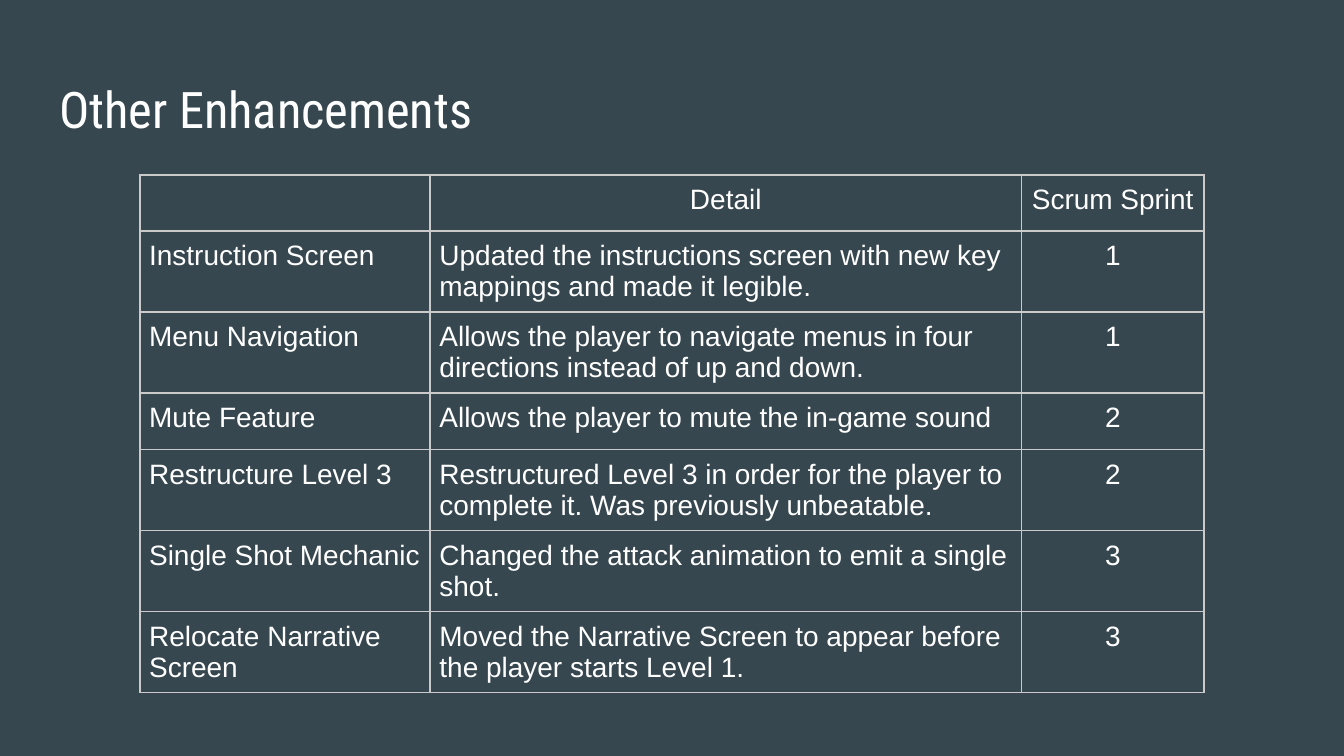
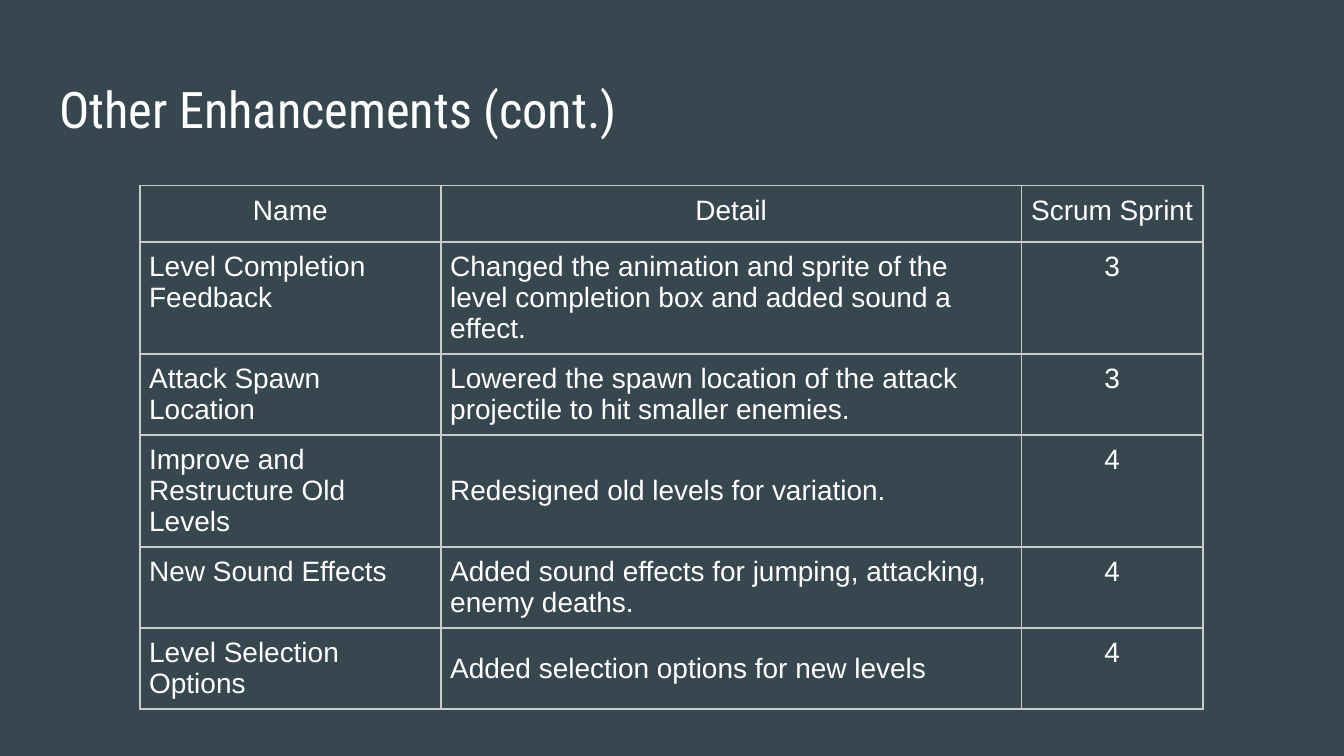
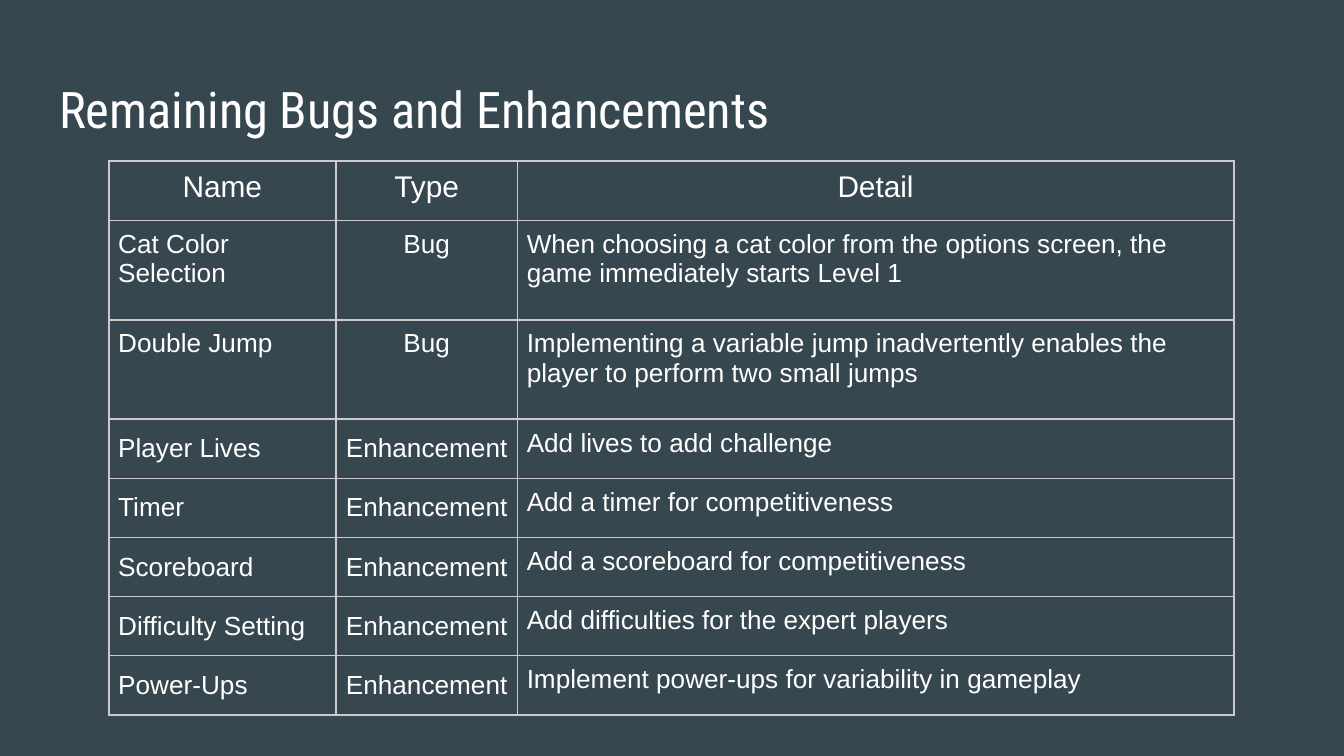
"""Build three slides of game enhancement and bug tables."""
from dataclasses import dataclass

import lxml.etree
import pptx
import pptx.dml.color
import pptx.enum.text
import pptx.oxml.ns
import pptx.presentation
import pptx.slide
import pptx.table
import pptx.text.text
import pptx.util

Inches = pptx.util.Inches
Align = pptx.enum.text.PP_ALIGN
Anchor = pptx.enum.text.MSO_ANCHOR

SLIDE_WIDTH = Inches(10)
SLIDE_HEIGHT = SLIDE_WIDTH * 9 // 16
BACKGROUND = "37474F"
TEXT = "FFFFFF"
BORDER = "CACACA"
TITLE_FONT = "Roboto Condensed"
TABLE_FONT = "Arial"
TITLE_SIZE = 27
BORDER_WIDTH = 1
TITLE_INSET = 0.1
CELL_INSET = 0.07
TITLE_BOX = (0.34, 0.49, 9.32, 0.63)


@dataclass(frozen=True)
class Sheet:
    title: str
    left: float
    top: float
    widths: tuple[float, ...]
    heights: tuple[float, ...]
    rows: tuple[tuple[str, ...], ...]
    centred_column: int
    header_size: int = 15
    body_size: int = 15
    middle_cells: frozenset[tuple[int, int]] = frozenset()


SHEETS = (
    Sheet(
        "Other Enhancements", 1.04, 1.3, (2.16, 4.4, 1.36), (0.42,) * 7,
        (
            ("", "Detail", "Scrum Sprint"),
            ("Instruction Screen",
             "Updated the instructions screen with new key mappings and made it legible.", "1"),
            ("Menu Navigation",
             "Allows the player to navigate menus in four directions instead of up and down.", "1"),
            ("Mute Feature", "Allows the player to mute the in-game sound", "2"),
            ("Restructure Level 3",
             "Restructured Level 3 in order for the player to complete it. Was previously unbeatable.",
             "2"),
            ("Single Shot Mechanic", "Changed the attack animation to emit a single shot.", "3"),
            ("Relocate Narrative Screen",
             "Moved the Narrative Screen to appear before the player starts Level 1.", "3"),
        ),
        centred_column=2,
    ),
    Sheet(
        "Other Enhancements (cont.)", 1.04, 1.38, (2.24, 4.32, 1.35), (0.42,) * 6,
        (
            ("Name", "Detail", "Scrum Sprint"),
            ("Level Completion Feedback",
             "Changed the animation and sprite of the level completion box and added sound a effect.",
             "3"),
            ("Attack Spawn Location",
             "Lowered the spawn location of the attack projectile to hit smaller enemies.", "3"),
            ("Improve and Restructure Old Levels", "Redesigned old levels for variation.", "4"),
            ("New Sound Effects", "Added sound effects for jumping, attacking, enemy deaths.", "4"),
            ("Level Selection Options", "Added selection options for new levels", "4"),
        ),
        centred_column=2,
        middle_cells=frozenset({(3, 1), (5, 1)}),
    ),
    Sheet(
        "Remaining Bugs and Enhancements", 0.81, 1.2, (1.69, 1.35, 5.33),
        (0.44, 0.74, 0.74) + (0.44,) * 5,
        (
            ("Name", "Type", "Detail"),
            ("Cat Color Selection", "Bug",
             "When choosing a cat color from the options screen, the game immediately starts Level 1"),
            ("Double Jump", "Bug",
             "Implementing a variable jump inadvertently enables the player to perform two small jumps"),
            ("Player Lives", "Enhancement", "Add lives to add challenge"),
            ("Timer", "Enhancement", "Add a timer for competitiveness"),
            ("Scoreboard", "Enhancement", "Add a scoreboard for competitiveness"),
            ("Difficulty Setting", "Enhancement", "Add difficulties for the expert players"),
            ("Power-Ups", "Enhancement", "Implement power-ups for variability in gameplay"),
        ),
        centred_column=1,
        header_size=16,
        body_size=14,
        middle_cells=frozenset((row, column) for row in range(3, 8) for column in (0, 1)),
    ),
)


def color(value: str) -> pptx.dml.color.RGBColor:
    return pptx.dml.color.RGBColor.from_string(value)


def style_paragraph(paragraph: pptx.text.text._Paragraph, font: str, size: int,
                    alignment: Align) -> None:
    paragraph.alignment = alignment
    paragraph.font.name = font
    paragraph.font.size = pptx.util.Pt(size)
    paragraph.font.color.rgb = color(TEXT)


def set_margins(holder: pptx.text.text.TextFrame | pptx.table._Cell, inset: float) -> None:
    holder.margin_left = holder.margin_right = Inches(inset)
    holder.margin_top = holder.margin_bottom = Inches(inset)


def add_borders(cell: pptx.table._Cell) -> None:
    properties = cell._tc.get_or_add_tcPr()
    qn = pptx.oxml.ns.qn
    for side in ("a:lnL", "a:lnR", "a:lnT", "a:lnB"):
        line = lxml.etree.SubElement(properties, qn(side), w=str(pptx.util.Pt(BORDER_WIDTH)))
        fill = lxml.etree.SubElement(line, qn("a:solidFill"))
        lxml.etree.SubElement(fill, qn("a:srgbClr"), val=BORDER)


def add_title(slide: pptx.slide.Slide, text: str) -> None:
    title = slide.shapes.title
    title.left, title.top, title.width, title.height = map(Inches, TITLE_BOX)
    frame = title.text_frame
    frame.text = text
    frame.word_wrap = True
    frame.auto_size = pptx.enum.text.MSO_AUTO_SIZE.NONE
    frame.vertical_anchor = Anchor.MIDDLE
    set_margins(frame, TITLE_INSET)
    style_paragraph(frame.paragraphs[0], TITLE_FONT, TITLE_SIZE, Align.LEFT)


def fill_cell(cell: pptx.table._Cell, sheet: Sheet, row: int, column: int) -> None:
    is_header = row == 0
    is_centred = is_header or column == sheet.centred_column
    cell.text = sheet.rows[row][column]
    set_margins(cell, CELL_INSET)
    cell.vertical_anchor = Anchor.MIDDLE if (row, column) in sheet.middle_cells else Anchor.TOP
    add_borders(cell)
    cell.fill.background()
    style_paragraph(cell.text_frame.paragraphs[0], TABLE_FONT,
                    sheet.header_size if is_header else sheet.body_size,
                    Align.CENTER if is_centred else Align.LEFT)


def add_sheet_table(slide: pptx.slide.Slide, sheet: Sheet) -> None:
    table = slide.shapes.add_table(
        len(sheet.rows), len(sheet.widths), Inches(sheet.left), Inches(sheet.top),
        Inches(sum(sheet.widths)), Inches(sum(sheet.heights))).table
    table.first_row = table.horz_banding = False
    for table_column, width in zip(table.columns, sheet.widths):
        table_column.width = Inches(width)
    for row, height in enumerate(sheet.heights):
        table.rows[row].height = Inches(height)
        for column in range(len(sheet.widths)):
            fill_cell(table.cell(row, column), sheet, row, column)


def add_sheet(deck: pptx.presentation.Presentation, sheet: Sheet) -> None:
    slide = deck.slides.add_slide(deck.slide_layouts.get_by_name("Title Only"))
    add_title(slide, sheet.title)
    add_sheet_table(slide, sheet)


def main() -> None:
    deck = pptx.Presentation()
    deck.slide_width, deck.slide_height = SLIDE_WIDTH, SLIDE_HEIGHT
    backdrop = deck.slide_master.background.fill
    backdrop.solid()
    backdrop.fore_color.rgb = color(BACKGROUND)
    for sheet in SHEETS:
        add_sheet(deck, sheet)
    deck.save("out.pptx")


if __name__ == "__main__":
    main()
